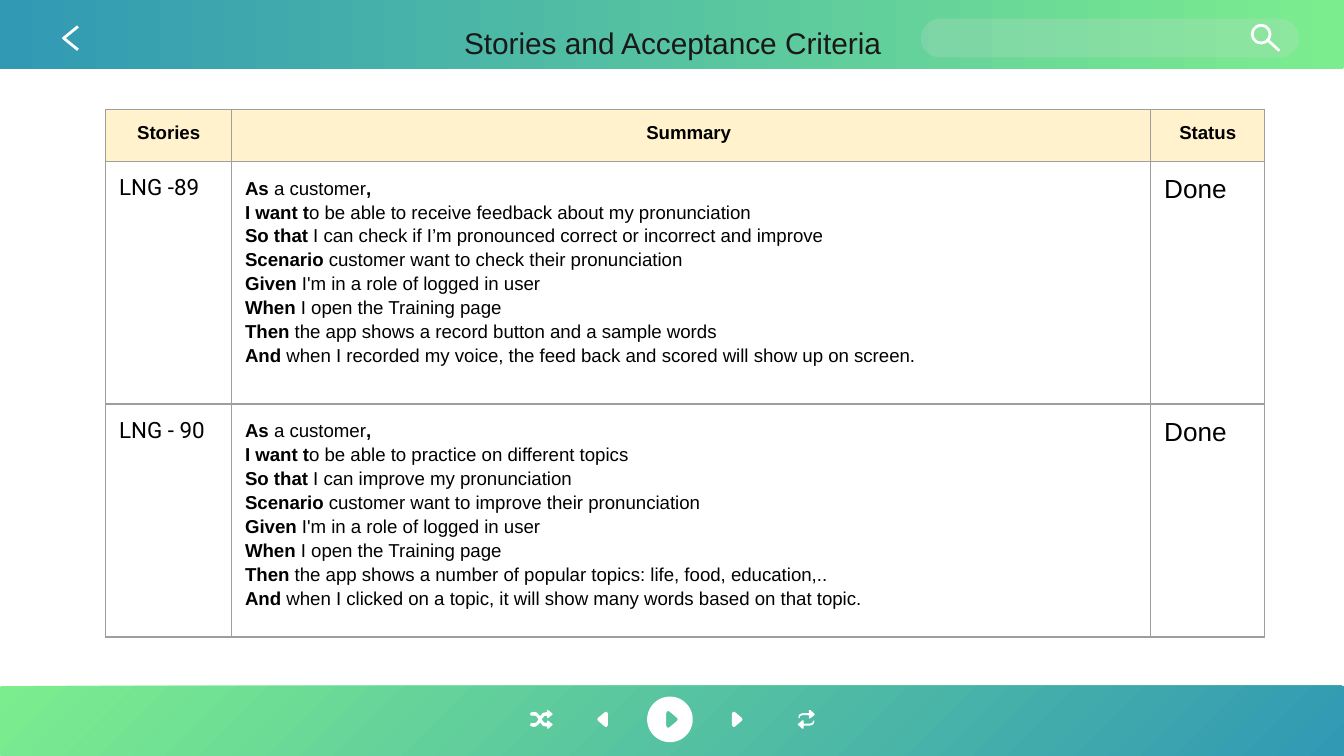
"""Build a slide of user stories in a table between two player-style gradient bars."""
import math
from dataclasses import dataclass

from lxml import etree
from pptx import Presentation
from pptx import util as u
from pptx.dml.color import RGBColor
from pptx.enum import shapes, text
from pptx.oxml import ns

COLORS = {
    "green": "7CED8E", "blue": "3199B4", "search": "D9D9D9", "icon": "FFFFFF", "stroke": "FEFEFE",
    "title": "191919", "body": "000000", "header": "FFF2CC", "border": "9E9E9E",
}
Points = list[tuple[float, float]]


@dataclass(frozen=True)
class Bar:
    top: float
    angle: float


@dataclass(frozen=True)
class Stroke:
    start: tuple[float, float]
    end: tuple[float, float]


@dataclass(frozen=True)
class Icon:
    x: float
    outlines: list[Points]


@dataclass(frozen=True)
class Story:
    code: str
    want: str
    benefit: str
    scenario: str
    outcome: str
    follow_up: str
    status: str = "Done"

    def lines(self) -> list[tuple[str, ...]]:
        """Return the lines as alternating bold and regular pieces."""
        return [
            ("As ", "a customer", ","),
            ("I want t", self.want),
            ("So that ", self.benefit),
            ("Scenario ", self.scenario),
            ("Given ", "I'm in a role of logged in user"),
            ("When ", "I open the Training page"),
            ("Then ", self.outcome),
            ("And ", self.follow_up),
        ]


BAR_HEIGHT = 37.5
BARS = [Bar(-0.5, 180), Bar(367.5, 315)]
STROKES = [
    Stroke((671.2, 21.6), (685.4, 27.4)),
    Stroke((33.8, 20.7), (41.8, 14.2)),
    Stroke((33.8, 20.2), (41.8, 26.7)),
]
STROKES[0] = Stroke((679, 21.4), (685.4, 27.2))
CONTROLS_Y = 385.4
TABLE_LEFT, TABLE_TOP = 56.6, 58.7
COLUMN_WIDTHS = [67.5, 492.4, 61]
ROW_HEIGHTS = [27.9, 129.8, 117.3]
HEADINGS = ["Stories", "Summary ", "Status"]
STORIES = [
    Story("LNG -89", "o be able to receive feedback about my pronunciation",
          "I can check if I’m pronounced correct or incorrect and improve",
          "customer want to check their pronunciation",
          "the app shows a record button and a sample words",
          "when I recorded my voice, the feed back and scored will show up on screen."),
    Story("LNG - 90", "o be able to practice on different topics",
          "I can improve my pronunciation",
          "customer want to improve their pronunciation",
          "the app shows a number of popular topics: life, food, education,..",
          "when I clicked on a topic, it will show many words based on that topic."),
]


def transform(points: Points, x_scale: float = 1, y_scale: float = 1, shift: float = 0) -> Points:
    """Scale or mirror an outline about its centre, then shift it sideways."""
    return [(x * x_scale + shift, y * y_scale) for x, y in points]


DISC = [(12.2 * math.cos(math.tau * i / 72), 12.2 * math.sin(math.tau * i / 72)) for i in range(72)]
TRIANGLE = [(-2.9, -3), (-2.3, -4), (-1.4, -4), (2.4, -0.8), (2.8, 0),
            (2.4, 0.8), (-1.4, 4), (-2.3, 4), (-2.9, 3)]
REPEAT = [(1.4, -5), (2.2, -5), (4.5, -2.9), (4.5, -2.5), (2.2, -0.6), (1.4, -0.6), (1.4, -2.3),
          (-2, -2.3), (-3.3, -1.8), (-3.6, -0.7), (-4.3, -0.7), (-4.1, -2), (-3.5, -2.8),
          (-2, -3.3), (1.4, -3.3)]
SHUFFLE = [(3.2, -5), (3.8, -5), (6.1, -3), (6.1, -2.6), (3.8, -0.7), (3.2, -0.7), (3.2, -1.8),
           (1.8, -1.8), (0.6, -0.4), (-1, 2.3), (-2.6, 3.8), (-4, 4), (-5.4, 3.7), (-6, 2.9),
           (-5.4, 2), (-3.6, 2), (-2.5, 1.6), (-1.5, 0.2), (-0.3, -2), (1, -3.5), (3.2, -3.9)]
ICONS = [
    Icon(432, [REPEAT]), Icon(432, [transform(REPEAT, -1, -1)]),
    Icon(289.9, [SHUFFLE]), Icon(289.9, [transform(SHUFFLE, 1, -1)]),
    Icon(358.9, [DISC, transform(TRIANGLE, 1.1, 1.1, 1.1)]),
    Icon(322.8, [transform(TRIANGLE, -1)]), Icon(395, [TRIANGLE]),
]


def color(name: str) -> RGBColor:
    """Return a named colour."""
    return RGBColor.from_string(COLORS[name])


def add_preset(slide, kind, left: float, top: float, width: float, height: float):
    """Add a preset shape without shadow or outline."""
    shape = slide.shapes.add_shape(kind, u.Pt(left), u.Pt(top), u.Pt(width), u.Pt(height))
    shape.shadow.inherit = False
    shape.line.fill.background()
    return shape


def add_bar(slide, bar: Bar) -> None:
    """Add a full-width gradient bar."""
    shape = add_preset(slide, shapes.MSO_SHAPE.ROUNDED_RECTANGLE, 0, bar.top, 720, BAR_HEIGHT)
    shape.adjustments[0] = 0.03
    shape.fill.gradient()
    shape.fill.gradient_angle = bar.angle
    for stop, name in zip(shape.fill.gradient_stops, ("green", "blue")):
        stop.color.rgb = color(name)


def add_search(slide) -> None:
    """Add the translucent search field and its lens."""
    field = add_preset(slide, shapes.MSO_SHAPE.ROUNDED_RECTANGLE, 493.3, 10, 202.8, 20.8)
    field.adjustments[0] = 0.5
    field.fill.solid()
    field.fill.fore_color.rgb = color("search")
    tint = field.element.spPr.find(f"{ns.qn('a:solidFill')}/{ns.qn('a:srgbClr')}")
    etree.SubElement(tint, ns.qn("a:alpha"), val="21000")
    lens = add_preset(slide, shapes.MSO_SHAPE.OVAL, 670.8, 13.5, 9.6, 9.6)
    lens.fill.background()
    lens.line.color.rgb = color("stroke")
    lens.line.width = u.Pt(1.5)


def add_stroke(slide, stroke: Stroke) -> None:
    """Add one straight icon stroke."""
    ends = [u.Pt(value) for value in (*stroke.start, *stroke.end)]
    connector = slide.shapes.add_connector(shapes.MSO_CONNECTOR.STRAIGHT, *ends)
    connector.line.color.rgb = color("stroke")
    connector.line.width = u.Pt(1.5)
    etree.SubElement(connector.element.spPr, ns.qn("a:effectLst"))


def add_icon(slide, icon: Icon) -> None:
    """Add a filled player icon made of one or more outlines."""
    outlines = [[(u.Pt(icon.x + x), u.Pt(CONTROLS_Y + y)) for x, y in outline]
                for outline in icon.outlines]
    builder = slide.shapes.build_freeform(*outlines[0][0])
    for index, outline in enumerate(outlines):
        if index:
            builder.move_to(*outline[0])
        builder.add_line_segments(outline[1:], close=True)
    shape = builder.convert_to_shape()
    shape.shadow.inherit = False
    shape.fill.solid()
    shape.fill.fore_color.rgb = color("icon")
    shape.line.fill.background()


def style_font(font, size: float, bold: bool = False, name: str = "Arial", tone: str = "body") -> None:
    """Apply typeface, size, weight and colour."""
    font.name, font.size, font.bold = name, u.Pt(size), bold
    font.color.rgb = color(tone)


def set_margins(target) -> None:
    """Give a cell or text frame even inner margins."""
    target.margin_left = target.margin_right = target.margin_top = target.margin_bottom = u.Pt(7.2)


def add_title(slide) -> None:
    """Add the centred slide title."""
    frame = slide.shapes.add_textbox(u.Pt(56.9), u.Pt(5.8), u.Pt(607), u.Pt(45)).text_frame
    frame.word_wrap = True
    set_margins(frame)
    frame.text = "Stories and Acceptance Criteria"
    frame.paragraphs[0].alignment = text.PP_ALIGN.CENTER
    style_font(frame.paragraphs[0].runs[0].font, 16, tone="title")


def format_cell(cell, fill: str | None = None) -> None:
    """Set a cell's margins, borders and fill."""
    set_margins(cell)
    properties = cell._tc.get_or_add_tcPr()
    for side in ("lnL", "lnR", "lnT", "lnB"):
        line = etree.SubElement(properties, ns.qn(f"a:{side}"), w=str(u.Pt(0.75)))
        solid = etree.SubElement(line, ns.qn("a:solidFill"))
        etree.SubElement(solid, ns.qn("a:srgbClr"), val=COLORS["border"])
    if fill:
        cell.fill.solid()
        cell.fill.fore_color.rgb = color(fill)
    else:
        cell.fill.background()


def set_label(cell, label: str, size: float, bold: bool = False, name: str = "Arial") -> None:
    """Write a one-line cell."""
    cell.text_frame.text = label
    style_font(cell.text_frame.paragraphs[0].runs[0].font, size, bold, name)


def set_summary(cell, story: Story) -> None:
    """Write the story lines with bold keywords."""
    frame = cell.text_frame
    for index, pieces in enumerate(story.lines()):
        paragraph = frame.add_paragraph() if index else frame.paragraphs[0]
        paragraph.line_spacing = 1.15
        for position, piece in enumerate(pieces):
            run = paragraph.add_run()
            run.text = piece
            style_font(run.font, 10, bold=position % 2 == 0)


def add_story_table(slide) -> None:
    """Add the table of stories."""
    frame = slide.shapes.add_table(len(ROW_HEIGHTS), len(COLUMN_WIDTHS), u.Pt(TABLE_LEFT), u.Pt(TABLE_TOP),
                                   u.Pt(sum(COLUMN_WIDTHS)), u.Pt(sum(ROW_HEIGHTS)))
    table = frame.table
    table.first_row = table.horz_banding = False
    for column, width in zip(table.columns, COLUMN_WIDTHS):
        column.width = u.Pt(width)
    for index, (row, height) in enumerate(zip(table.rows, ROW_HEIGHTS)):
        row.height = u.Pt(height)
        for cell in row.cells:
            format_cell(cell, None if index else "header")
    for cell, heading in zip(table.rows[0].cells, HEADINGS):
        set_label(cell, heading, 10, bold=True)
        cell.text_frame.paragraphs[0].alignment = text.PP_ALIGN.CENTER
    for index, story in enumerate(STORIES, start=1):
        set_label(table.cell(index, 0), story.code, 12, name="Roboto")
        set_summary(table.cell(index, 1), story)
        set_label(table.cell(index, 2), story.status, 14)


def main() -> None:
    """Build and save the presentation."""
    presentation = Presentation()
    presentation.slide_width, presentation.slide_height = u.Pt(720), u.Pt(405)
    slide = presentation.slides.add_slide(presentation.slide_layouts[6])
    for bar in BARS:
        add_bar(slide, bar)
    add_search(slide)
    for stroke in STROKES:
        add_stroke(slide, stroke)
    for icon in ICONS:
        add_icon(slide, icon)
    add_title(slide)
    add_story_table(slide)
    presentation.save("out.pptx")


if __name__ == "__main__":
    main()
